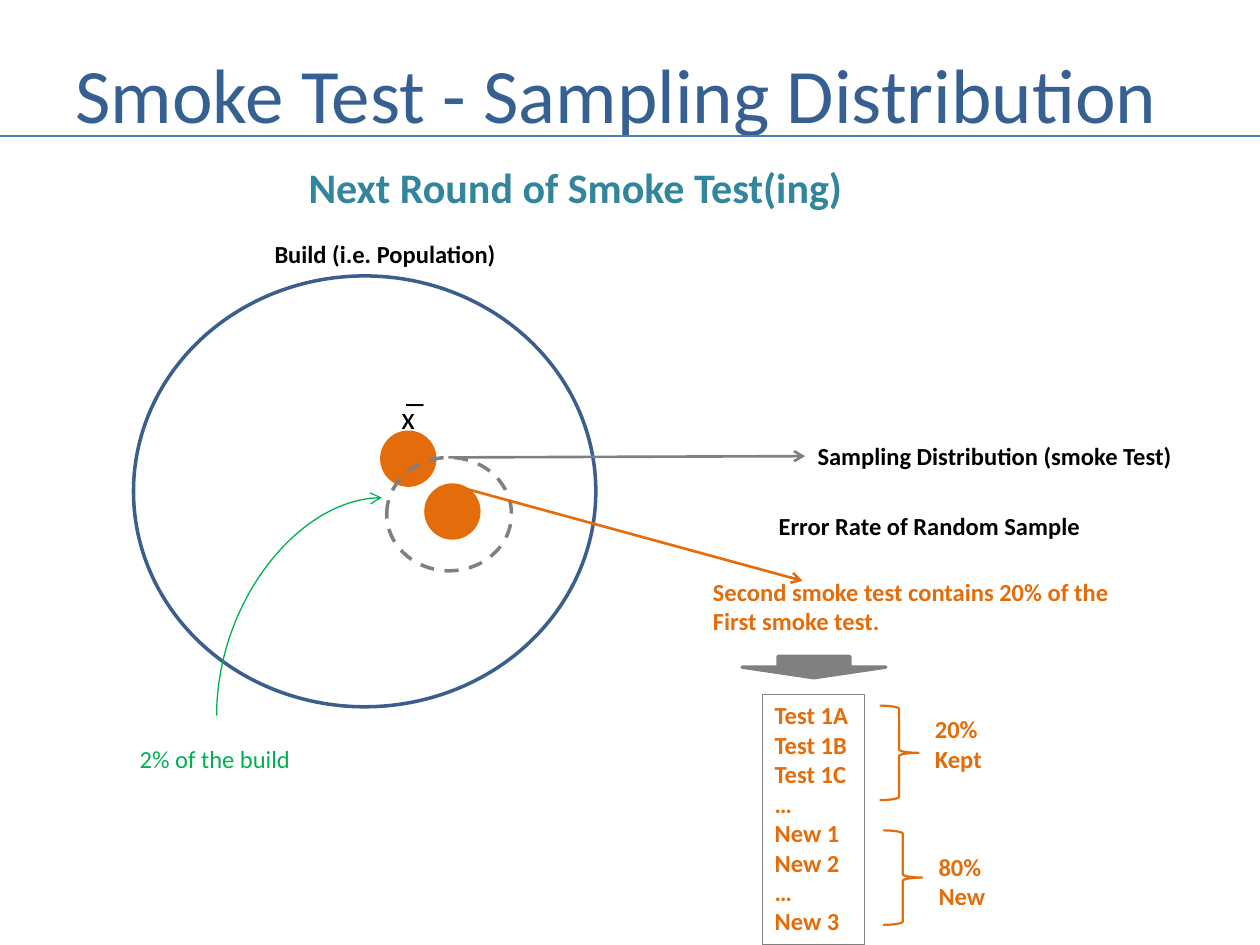
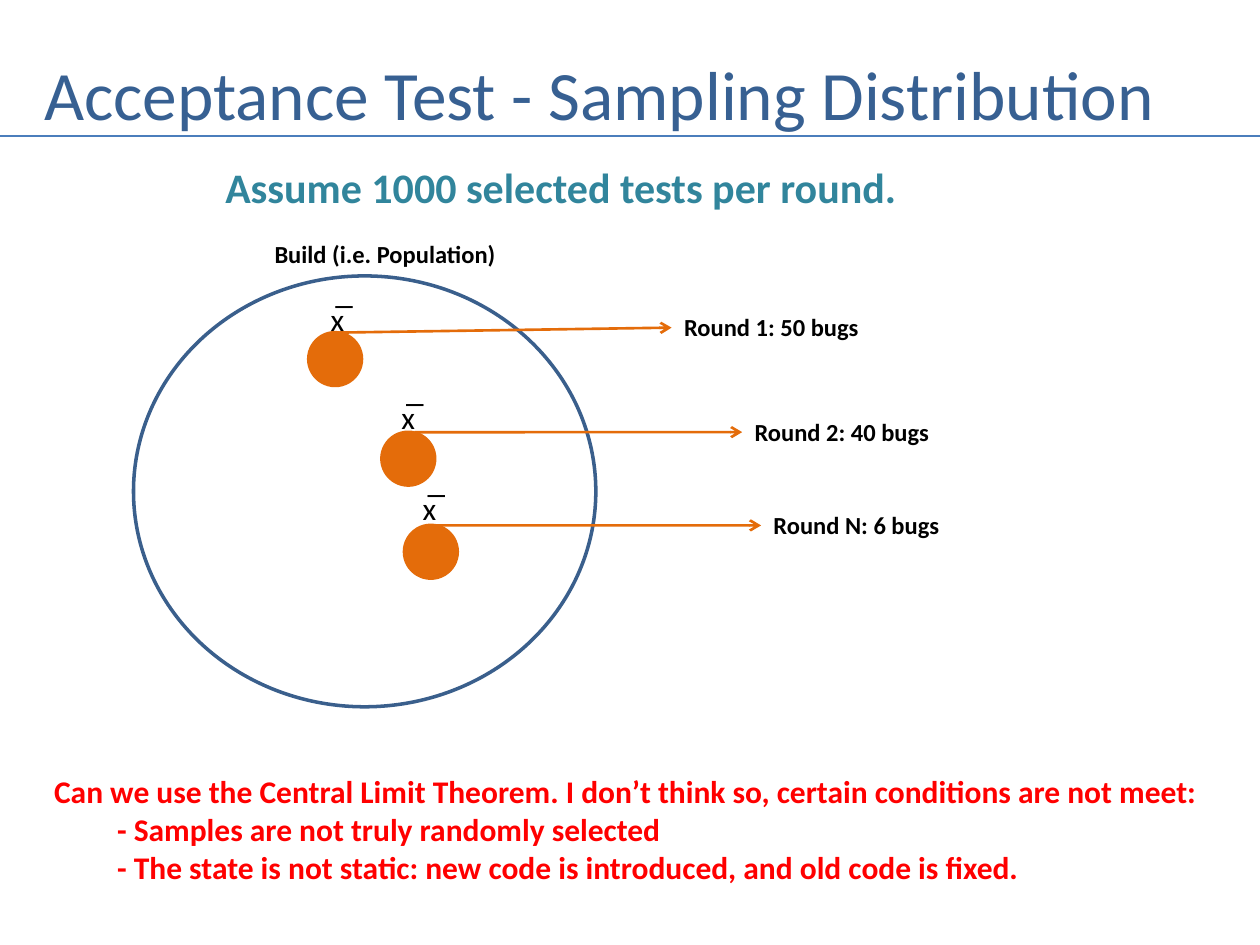
from lxml import etree
from pptx import Presentation
from pptx.dml.color import RGBColor
from pptx.enum import dml, shapes, text
from pptx.oxml.ns import qn
from pptx.util import Pt

TITLE_BLUE = RGBColor(0x37, 0x60, 0x92)
RULE_BLUE = RGBColor(0x4B, 0x7E, 0xBC)
OUTLINE_BLUE = RGBColor(0x3A, 0x5F, 0x8C)
TEAL = RGBColor(0x31, 0x85, 0x9C)
ORANGE = RGBColor(0xE4, 0x6C, 0x0A)
GRAY = RGBColor(0x80, 0x80, 0x80)
GREEN = RGBColor(0x00, 0xB0, 0x50)
RED = RGBColor(0xFF, 0x00, 0x00)
BLACK = RGBColor(0x00, 0x00, 0x00)

FONT = "Calibri"
SAMPLE_SIZE = 30.2
SHAPE = shapes.MSO_SHAPE
CONNECTOR = shapes.MSO_CONNECTOR


def write_text(frame, content, size=14, color=BLACK, bold=True):
    """Put one paragraph per line of content into a text frame."""
    for index, line in enumerate(content.split("\n")):
        paragraph = frame.paragraphs[0] if index == 0 else frame.add_paragraph()
        paragraph.alignment = text.PP_ALIGN.LEFT
        run = paragraph.add_run()
        run.text = line
        run.font.name = FONT
        run.font.size = Pt(size)
        run.font.bold = bold
        run.font.color.rgb = color


class Deck:
    def __init__(self):
        self.presentation = Presentation()
        self.presentation.slide_width = Pt(720)
        self.presentation.slide_height = Pt(540)
        self.slide = None

    def add_slide(self, title, left, width, size):
        """Start a slide with its title and the rule beneath it."""
        layout = self.presentation.slide_layouts[5]
        self.slide = self.presentation.slides.add_slide(layout)
        holder = self.slide.shapes.title
        holder.left, holder.top = Pt(left), Pt(21.6)
        holder.width, holder.height = Pt(width), Pt(62.6)
        frame = holder.text_frame
        frame.auto_size = text.MSO_AUTO_SIZE.NONE
        frame.vertical_anchor = text.MSO_ANCHOR.MIDDLE
        write_text(frame, title, size=size, color=TITLE_BLUE, bold=False)
        self.line((0, 77.8), (720, 77.8), RULE_BLUE)

    def label(self, content, left, top, width, height=24.5, border=None, **style):
        box = self.slide.shapes.add_textbox(Pt(left), Pt(top), Pt(width), Pt(height))
        box.text_frame.word_wrap = False
        box.text_frame.auto_size = text.MSO_AUTO_SIZE.SHAPE_TO_FIT_TEXT
        write_text(box.text_frame, content, **style)
        if border is not None:
            box.line.color.rgb = border
            box.line.width = Pt(0.75)
        return box

    def shape(self, kind, left, top, width, height, color, filled=False,
              weight=2, dashed=False):
        shape = self.slide.shapes.add_shape(
            kind, Pt(left), Pt(top), Pt(width), Pt(height))
        shape.shadow.inherit = False
        if filled:
            shape.fill.solid()
            shape.fill.fore_color.rgb = color
        else:
            shape.fill.background()
        shape.line.color.rgb = color
        shape.line.width = Pt(weight)
        if dashed:
            shape.line.dash_style = dml.MSO_LINE.DASH
        return shape

    def line(self, start, end, color, weight=1.5, arrow=False, target=None,
             kind=CONNECTOR.STRAIGHT):
        """Draw a line; target is a box joined at the middle of its left side."""
        connector = self.slide.shapes.add_connector(
            kind, *(Pt(value) for value in (*start, *end)))
        if target is not None:
            connector.end_connect(target, 1)
        connector.line.color.rgb = color
        connector.line.width = Pt(weight)
        properties = connector._element.spPr
        if arrow:
            outline = properties.find(qn("a:ln"))
            etree.SubElement(outline, qn("a:tailEnd"), type="arrow")
        etree.SubElement(properties, qn("a:effectLst"))
        return connector

    def quarter_curve(self, start, end, color):
        """Curved arrow that leaves start upwards and reaches end sideways."""
        center_x, center_y = (start[0] + end[0]) / 2, (start[1] + end[1]) / 2
        half_width, half_height = (start[1] - end[1]) / 2, (end[0] - start[0]) / 2
        connector = self.line(
            (center_x + half_width, center_y + half_height),
            (center_x - half_width, center_y - half_height),
            color, weight=0.75, arrow=True, kind=CONNECTOR.CURVE)
        properties = connector._element.spPr
        properties.find(qn("a:xfrm")).set("rot", str(90 * 60000))
        properties.find(qn("a:prstGeom")).set("prst", "curvedConnector2")

    def population(self, subtitle, left, width):
        """Subtitle and the large circle that stands for the build."""
        self.label(subtitle, left, 88.6, width, 36, size=24, color=TEAL)
        self.shape(SHAPE.OVAL, 76.3, 157.7, 264.2, 246.2, OUTLINE_BLUE)
        self.label("Build (i.e. Population)", 149.8, 133.2, 141.8)

    def sample(self, left, top):
        self.shape(SHAPE.OVAL, left, top, SAMPLE_SIZE, SAMPLE_SIZE, ORANGE, filled=True)

    def mean(self, left, top):
        self.label(" x̅", left, top, 26.6, 28.8, size=18, bold=False)


def add_smoke_test(deck):
    deck.add_slide("Smoke Test - Sampling Distribution", 36, 653.8, 44)
    deck.population("Next Round of Smoke Test(ing)", 169.2, 322.6)

    # Samples inside the build
    deck.sample(218.2, 247)
    deck.mean(218.2, 223.9)
    deck.shape(SHAPE.OVAL, 221, 261.4, 71.3, 64.8, GRAY, dashed=True)
    deck.sample(243.4, 277.2)

    # Callouts
    distribution = deck.label("Sampling Distribution (smoke Test)", 460.1, 248.4, 218.9)
    deck.line((256.3, 261.4), (458.6, 261.4), GRAY, arrow=True, target=distribution)
    deck.label("Error Rate of Random Sample", 437.8, 288.7, 187.9)
    deck.line((258.5, 277.2), (458.6, 331.9), ORANGE, arrow=True)
    deck.label("Second smoke test contains 20% of the\nFirst smoke test.",
               400.3, 326.2, 241.9, 41, color=ORANGE)
    deck.label("2% of the build", 72.7, 421.9, 101.5, color=GREEN, bold=False)
    deck.quarter_curve((123.8, 409), (218.2, 284.4), GREEN)

    # Content of the second smoke test
    deck.shape(SHAPE.DOWN_ARROW, 424.1, 375.1, 82.1, 12.2, GRAY, filled=True)
    deck.label("Test 1A\nTest 1B\nTest 1C\n…\nNew 1\nNew 2\n…\nNew 3",
               435.6, 396.7, 58.3, 143.3, border=GRAY, color=ORANGE)
    for share, left, brace_top, label_top in (
            ("20%\nKept", 502.6, 403.2, 404.6),
            ("80%\nNew", 504.7, 474.5, 483.1)):
        deck.shape(SHAPE.RIGHT_BRACE, left, brace_top, 22.3, 54, ORANGE, weight=1.25)
        deck.label(share, left + 24.5, label_top, 41.4, 41, color=ORANGE)


def add_acceptance_test(deck):
    deck.add_slide("Acceptance Test - Sampling Distribution", 18, 671.8, 39.6)
    deck.population("Assume 1000 selected tests per round.", 121.7, 407.5)

    # Rounds: result, its place and width, sample place, mean place, arrow start
    rounds = (
        ("Round 1: 50 bugs", 383.8, 175, 115.2, (176.4, 190.1), (177.8, 167.8), 190.8),
        ("Round 2: 40 bugs", 424.1, 234.7, 115.2, (218.2, 247), (218.2, 223.9), 236.9),
        ("Round N: 6 bugs", 434.9, 288, 110.2, (231.1, 300.2), (230.4, 275.8), 247.7),
    )
    for result, left, top, width, sample, mean, arrow_left in rounds:
        deck.sample(*sample)
        deck.mean(*mean)
        box = deck.label(result, left, top, width)
        deck.line((arrow_left, sample[1]), (left, sample[1]), ORANGE,
                  arrow=True, target=box)

    # Conclusion
    deck.label("Can we use the Central Limit Theorem. I don’t think so, "
               "certain conditions are not meet:\n"
               "\t- Samples are not truly randomly selected\n"
               "\t- The state is not static: new code is introduced, "
               "and old code is fixed.",
               23.8, 437.8, 673.2, 72.7, size=18, color=RED)


def main():
    deck = Deck()
    add_smoke_test(deck)
    add_acceptance_test(deck)
    deck.presentation.save("out.pptx")


if __name__ == "__main__":
    main()
